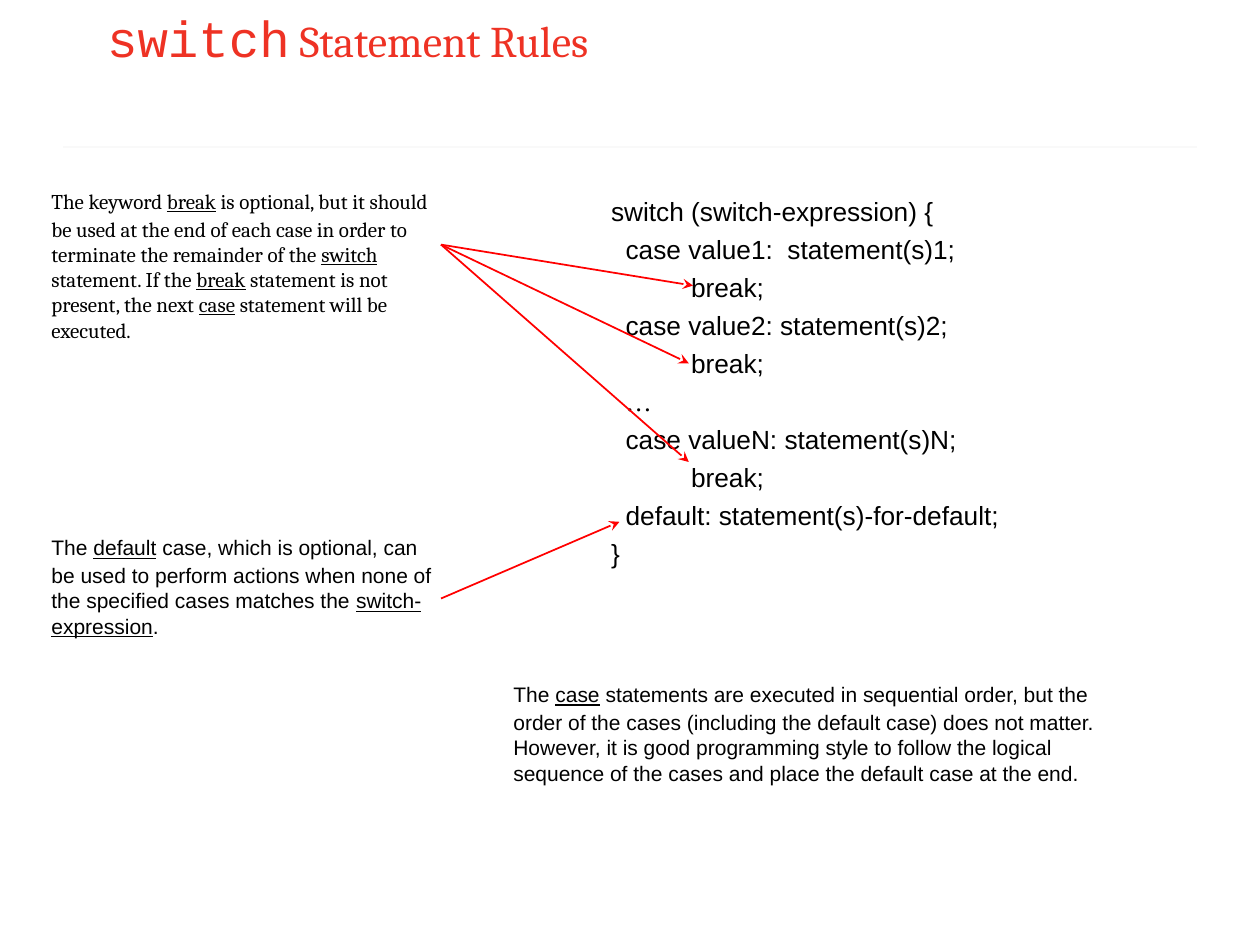
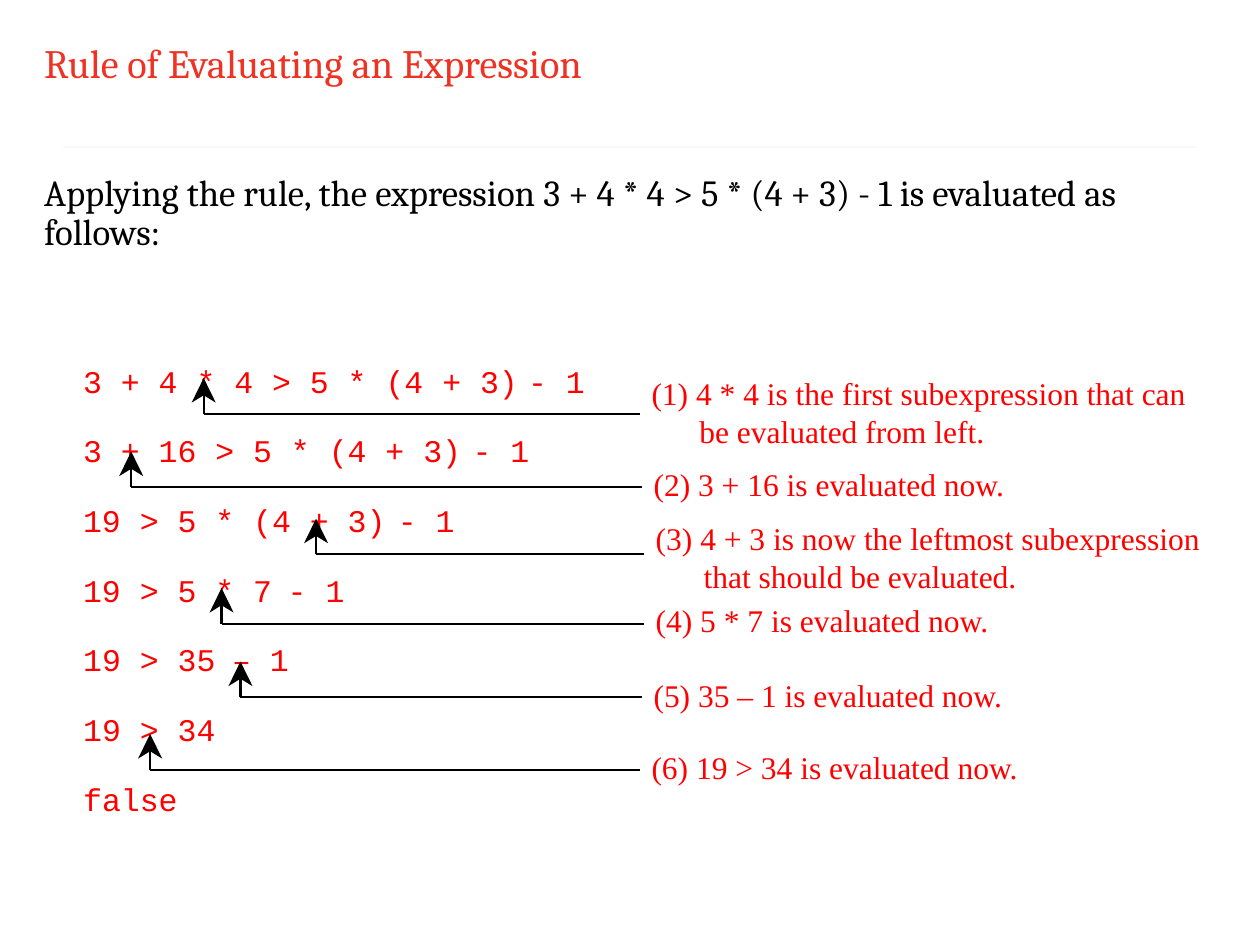
from lxml import etree
from pptx import Presentation
from pptx.dml.color import RGBColor
from pptx.enum.shapes import MSO_CONNECTOR, MSO_SHAPE
from pptx.enum.text import MSO_ANCHOR, MSO_AUTO_SIZE, PP_ALIGN
from pptx.oxml.ns import qn
from pptx.util import Emu, Inches, Pt

hue = RGBColor.from_string
TITLE_RED, RED, BLACK, WHITE, RULE_GREY = "EE3224", "FF0000", "000000", "FFFFFF", "F9F9F9"
UNIT = Inches(10) / 120  # the slide is a grid of 120 columns and 90 rows


def grid(*cells):
    return [Emu(round(cell * UNIT)) for cell in cells]


def write(frame, text, size, font, colour, hang=0, lead_font=None, insets=(1.2, 0.6)):
    """Fill a frame; parts between bars are underlined, a lead is a 20 pt tab."""
    frame.word_wrap = True
    frame.auto_size = MSO_AUTO_SIZE.NONE
    frame.vertical_anchor = MSO_ANCHOR.TOP
    frame.margin_left, frame.margin_top = grid(*insets)
    frame.margin_right, frame.margin_bottom = grid(*insets)
    for number, line in enumerate(text.split("\n")):
        paragraph = frame.paragraphs[0] if number == 0 else frame.add_paragraph()
        paragraph.alignment = PP_ALIGN.LEFT
        paragraph.space_before = Pt(0)
        properties = paragraph._p.get_or_add_pPr()
        properties.set("marL", str(Inches(hang)))
        properties.set("indent", str(-Inches(hang)))
        etree.SubElement(properties, qn("a:buNone"))
        if lead_font:
            stops = etree.SubElement(properties, qn("a:tabLst"))
            etree.SubElement(stops, qn("a:tab"), pos="0", algn="l")
            lead = paragraph.add_run()
            lead.text, lead.font.size, lead.font.name = "\t", Pt(20), lead_font
        paragraph.font.size, paragraph.font.name = Pt(size), font
        paragraph.font.color.rgb = hue(colour)
        for index, part in enumerate(line.split("|")):
            run = paragraph.add_run()
            run.text = part
            if index % 2:
                run.font.underline = True


prs = Presentation()
prs.slide_width, prs.slide_height = grid(120, 90)
rules_slide, evaluation_slide = [
    prs.slides.add_slide(prs.slide_layouts[1]) for _ in range(2)]

# Strokes: slide, start, end, colour, width, arrowhead; the title rule is shared
strokes = [(slide, (6, 14), (114, 14), RULE_GREY, 1, False)
           for slide in (rules_slide, evaluation_slide)]

# Titles and bodies
CODE = """switch (switch-expression) {
  case value1:  statement(s)1;
           break;
  case value2: statement(s)2;
           break;
  …
  case valueN: statement(s)N;
           break;
  default: statement(s)-for-default;
}"""
INTRO = ("Applying the rule, the expression 3 + 4 * 4 > 5 * (4 + 3) - 1 "
         "is evaluated as follows:")
placed = [
    (rules_slide.shapes.title, (9, 0, 102, 10), " Statement Rules", 25, "Cambria", TITLE_RED),
    (rules_slide.placeholders[1], (57, 18, 48, 50), CODE, 15, "Arial", BLACK),
    (evaluation_slide.shapes.title, (3, 3, 114, 9), "Rule of Evaluating an Expression",
     23, "Cambria", TITLE_RED),
    (evaluation_slide.placeholders[1], (3, 16, 115, 12), INTRO, 21, "Cambria", BLACK),
]
for holder, box, text, size, font, colour in placed:
    holder.left, holder.top, holder.width, holder.height = grid(*box)
    write(holder.text_frame, text, size, font, colour)

# The keyword leads the first title
title_line = rules_slide.shapes.title.text_frame.paragraphs[0]
keyword = title_line.add_run()
keyword.text, keyword.font.size, keyword.font.name = "switch", Pt(29), "Courier New"
title_line.runs[0]._r.addprevious(keyword._r)

# Code spacing and the ellipsis
code_lines = rules_slide.placeholders[1].text_frame.paragraphs
for line in code_lines[1:]:
    line.space_before = Pt(3.7)
code_lines[5].runs[0].text = "  "
ellipsis = code_lines[5].add_run()
ellipsis.text, ellipsis.font.name = "…", "Times New Roman"
evaluation_slide.placeholders[1].text_frame.paragraphs[0].line_spacing = 0.9

# Explanations beside the code
explanations = [
    ((3, 16, 40, 27), "Cambria", "Courier New",
     "The keyword |break| is optional, but it should be used at the end of each case "
     "in order to terminate the remainder of the |switch| statement. If the |break| "
     "statement is not present, the next |case| statement will be executed."),
    ((3, 49, 40, 20), "Arial", "Courier New",
     "The |default| case, which is optional, can be used to perform actions when none "
     "of the specified cases matches the |switch-expression|."),
    ((47, 63, 59, 20), "Arial", "Arial",
     "The |case| statements are executed in sequential order, but the order of the "
     "cases (including the default case) does not matter. However, it is good "
     "programming style to follow the logical sequence of the cases and place the "
     "default case at the end."),
]
for box, font, lead_font, text in explanations:
    explanation = rules_slide.shapes.add_textbox(*grid(*box))
    write(explanation.text_frame, text, 12, font, BLACK, 0.06, lead_font)

# Arrows to the break lines and to the default line
for start, end in [((42, 23.3), (66, 27.2)), ((42, 23.3), (65.6, 34.6)),
                   ((42, 23.3), (65.6, 44)), ((42, 57), (59, 49.7))]:
    strokes.append((rules_slide, start, end, RED, 1, True))

# White panel and cards: box, text
cards = [
    ((5.8, 33, 56.9, 45.8), ""),
    ((61.2, 35.5, 54.4, 7.8), "(1) 4 * 4 is the first subexpression that can be evaluated from left."),
    ((61.4, 44.2, 43.1, 3.7), "(2) 3 + 16 is evaluated now."),
    ((61.6, 49.3, 54.4, 6.6), "(3) 4 + 3 is now the leftmost subexpression that should be evaluated."),
    ((61.6, 57.1, 43.4, 4.2), "(4) 5 * 7 is evaluated now."),
    ((61.4, 64.3, 34.8, 4.3), "(5) 35 – 1 is evaluated now."),
    ((61.2, 71.1, 38.3, 4.8), "(6) 19 > 34 is evaluated now."),
]
for box, text in cards:
    card = evaluation_slide.shapes.add_shape(MSO_SHAPE.RECTANGLE, *grid(*box))
    card.shadow.inherit = False
    card.fill.solid()
    card.fill.fore_color.rgb = card.line.color.rgb = hue(WHITE)
    card.line.width = Pt(1.25)
    if text:
        write(card.text_frame, text, 18, "Times New Roman", RED, 0.38, insets=(0.85, 0.12))
        card.text_frame.margin_right = 0

# Expression after each step, with its trailing subtraction and that one's column
steps = [
    ("3 + 4 * 4 > 5 * (4 + 3)", "- 1", 50.3),
    ("3 + 16 > 5 * (4 + 3)", "- 1", 45),
    ("19 > 5 * (4 + 3)", "- 1", 37.9),
    ("19 > 5 * 7", "- 1", 27.4),
    ("19 > 35", "– 1", 22.1),
    ("19 > 34", "", 0),
    ("false", "", 0),
]
for row, (expression, subtraction, column) in enumerate(steps):
    for text, left in ((expression, 7.92), (subtraction, column)):
        if text:
            step = evaluation_slide.shapes.add_textbox(
                *grid(left, 34.44 + 6.64 * row, 1.8 * len(text) + 1.2, 3.6))
            write(step.text_frame, text, 18, "Courier New", RED, insets=(0, 0))

# Pointers from each card to the operator evaluated
corners = [(19.4, 39.4), (12.5, 46.4), (30.1, 52.8), (21.1, 59.4), (22.9, 66.4), (14.3, 73.3)]
for (x, y), (box, _) in zip(corners, cards[1:]):
    strokes.append((evaluation_slide, (x, y), (x, y - 1.8), BLACK, 1.25, False))
    strokes.append((evaluation_slide, (x, y), (box[0] - 0.25, y), BLACK, 1.25, False))
    tip = y - 3.4
    outline = [grid(x + 1.15, tip + 2.35), grid(x, tip), grid(x - 1.15, tip + 2.35),
               grid(x, tip + 1.65)]
    builder = evaluation_slide.shapes.build_freeform(*outline[0])
    builder.add_line_segments(outline[1:], close=True)
    head = builder.convert_to_shape()
    head.shadow.inherit = False
    head.fill.solid()
    head.fill.fore_color.rgb = hue(BLACK)
    head.line.fill.background()

# Draw all strokes
for slide, start, end, colour, width, has_head in strokes:
    stroke = slide.shapes.add_connector(MSO_CONNECTOR.STRAIGHT, *grid(*start, *end))
    stroke.line.color.rgb = hue(colour)
    stroke.line.width = Pt(width)
    if has_head:
        etree.SubElement(stroke.line._get_or_add_ln(), qn("a:tailEnd"), type="stealth")
    etree.SubElement(stroke._element.spPr, qn("a:effectLst"))

prs.save("out.pptx")
